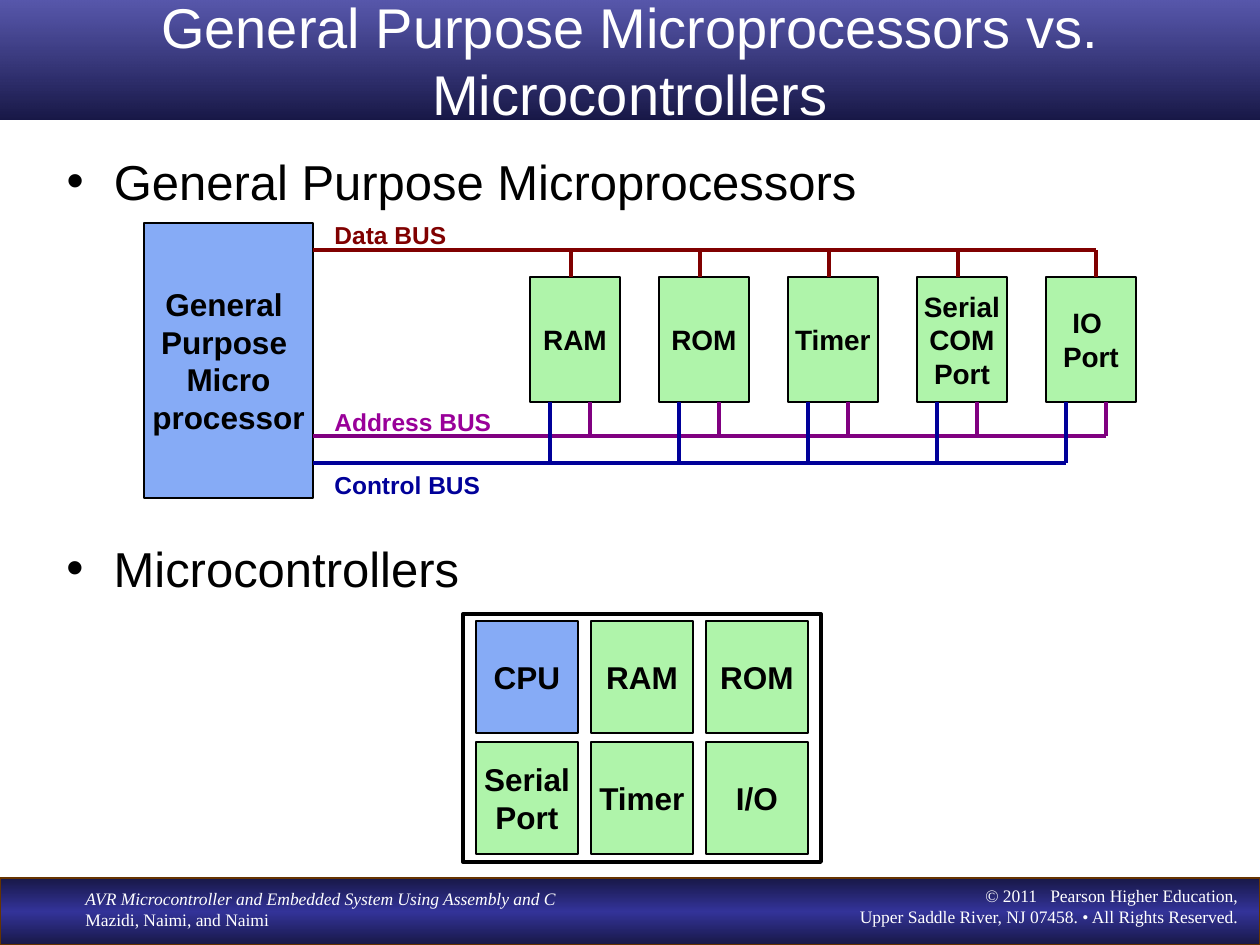
from lxml import etree
from pptx import Presentation
from pptx import util as u
from pptx.dml.color import RGBColor
from pptx.enum import shapes, text
from pptx.oxml import ns

TITLE = "General Purpose Microprocessors vs. Microcontrollers"
HEADINGS = ["General Purpose Microprocessors", "Microcontrollers"]
PROCESSOR = ["General ", "Purpose ", "Micro", "processor"]
MODULES = [["RAM"], ["ROM"], ["Timer"], ["Serial", "COM", "Port"], ["IO ", "Port"]]
CHIP_ROWS = [
    [["CPU"], ["RAM"], ["ROM"]],
    [["Serial", "Port"], ["Timer"], ["I/O"]],
]
BOOK = ["AVR Microcontroller and Embedded System Using Assembly and C",
        "Mazidi, Naimi, and Naimi"]
COPYRIGHT = ["© 2011   Pearson Higher Education,\v"
             "Upper Saddle River, NJ 07458. • All Rights Reserved."]

THEME = {
    "white": "FFFFFF", "black": "000000",
    "processor": "86ABF6", "module": "AFF4AA", "footer_line": "663300",
    "title_stops": [(0, "333399", 82), (100, "181847", 100)],
    "footer_stops": [(0, "181847", 100), (50, "333399", 100), (100, "181847", 100)],
    "title_size": 32, "heading_size": 28, "block_size": 18, "module_size": 16,
    "label_size": 14, "footer_size": 10,
    "sans": "Arial", "serif": "Times New Roman",
}

# Geometry in px, 126 to the inch
SLIDE = (1260, 945)
TITLE_BOX = (0, 0, 1260, 120)
FOOTER_BOX = (0, 878, 1260, 67)
BOOK_BOX = (73, 882, 522, 55)
COPYRIGHT_BOX = (725, 879, 525, 55)
HEADING_BOXES = [(54, 145, 1160, 79), (54, 532, 1160, 79)]
PROCESSOR_BOX = (144, 223, 169, 275)
MODULE_BOX, MODULE_STEP = (530, 277, 90, 125), 129
CHIP_BOX = (463, 614, 358, 248)
CELL_BOX, CELL_STEPS = (476, 621, 102, 112), (115, 121)

# The last data tap sits a little further right than the others.
BUSES = [
    {"label": "Address BUS", "line": "800080", "text": "990099", "y": 436,
     "tap": 60, "last_shift": 0, "side": "bottom", "label_box": (322, 401, 199, 43)},
    {"label": "Data BUS", "line": "800000", "text": "800000", "y": 250,
     "tap": 41, "last_shift": 9, "side": "top", "label_box": (322, 214, 169, 43)},
    {"label": "Control BUS", "line": "000099", "text": "000099", "y": 463,
     "tap": 20, "last_shift": 0, "side": "bottom", "label_box": (322, 464, 189, 43)},
]


def px(value):
    return u.Emu(round(value * 914400 / 126))


def box_px(box):
    return [px(value) for value in box]


def place(shape, box):
    for name, value in zip(("left", "top", "width", "height"), box_px(box)):
        setattr(shape, name, value)


def style_paragraph(paragraph, size, color, font="sans", align=text.PP_ALIGN.LEFT, bold=False):
    paragraph.alignment = align
    values = {"size": u.Pt(THEME[size]), "name": THEME[font], "bold": bold}
    for run in paragraph.runs:
        for name, value in values.items():
            setattr(run.font, name, value)
        run.font.color.rgb = RGBColor.from_string(color)


def write(shape, lines, size, color, wrap=True, anchor=text.MSO_ANCHOR.TOP, **style):
    frame = shape.text_frame
    values = {"text": "\n".join(lines), "word_wrap": wrap, "vertical_anchor": anchor,
              "auto_size": text.MSO_AUTO_SIZE.NONE}
    for name, value in values.items():
        setattr(frame, name, value)
    for paragraph in frame.paragraphs:
        style_paragraph(paragraph, size, color, **style)
    return frame


def fill_gradient(shape, stops):
    """Fill from top to bottom with (position, colour, opacity) stops in percent."""
    shape.fill.gradient()
    gradient = shape._element.spPr.find(ns.qn("a:gradFill"))
    stop_list = gradient.find(ns.qn("a:gsLst"))
    for old_stop in list(stop_list):
        stop_list.remove(old_stop)
    for position, color, opacity in stops:
        stop = etree.SubElement(stop_list, ns.qn("a:gs"), pos=str(position * 1000))
        rgb = etree.SubElement(stop, ns.qn("a:srgbClr"), val=color)
        if opacity < 100:
            etree.SubElement(rgb, ns.qn("a:alpha"), val=str(opacity * 1000))
    gradient.find(ns.qn("a:lin")).set("ang", "5400000")


def add_rectangle(parent, box, line_color, line_width, fill=None):
    shape = parent.add_shape(shapes.MSO_SHAPE.RECTANGLE, *box_px(box))
    shape.shadow.inherit = False
    if fill:
        shape.fill.solid()
        shape.fill.fore_color.rgb = RGBColor.from_string(fill)
    shape.line.color.rgb = RGBColor.from_string(line_color)
    shape.line.width = u.Pt(line_width)
    return shape


def add_block(parent, box, lines, size, fill, line_width):
    shape = add_rectangle(parent, box, THEME["black"], line_width, fill)
    write(shape, lines, size, THEME["black"], wrap=False, bold=True,
          anchor=text.MSO_ANCHOR.MIDDLE, align=text.PP_ALIGN.CENTER)


def add_line(parent, start, end, color):
    line = parent.add_connector(shapes.MSO_CONNECTOR.STRAIGHT, *box_px(start + end))
    line.line.color.rgb = RGBColor.from_string(color)
    line.line.width = u.Pt(2.25)
    etree.SubElement(line._element.spPr, ns.qn("a:effectLst"))


def add_text(parent, box, lines, size, color, **style):
    return write(parent.add_textbox(*box_px(box)), lines, size, color, **style)


def write_heading(shape, heading):
    paragraph = write(shape, [heading], "heading_size", THEME["black"]).paragraphs[0]
    paragraph.space_before = u.Pt(0)
    properties = paragraph._element.get_or_add_pPr()
    properties.set("marL", "342900")
    properties.set("indent", "-342900")
    color = etree.SubElement(properties, ns.qn("a:buClr"))
    etree.SubElement(color, ns.qn("a:srgbClr"), val=THEME["black"])
    etree.SubElement(properties, ns.qn("a:buFont"), typeface=THEME["sans"])
    etree.SubElement(properties, ns.qn("a:buChar"), char="•")


def add_footer(parent):
    bar = add_rectangle(parent, FOOTER_BOX, THEME["footer_line"], 0.75)
    fill_gradient(bar, THEME["footer_stops"])
    book = add_text(parent, BOOK_BOX, BOOK, "footer_size", THEME["white"], font="serif")
    book.paragraphs[0].runs[0].font.italic = True
    add_text(parent, COPYRIGHT_BOX, COPYRIGHT, "footer_size", THEME["white"],
             font="serif", align=text.PP_ALIGN.RIGHT)


def add_processor_system(parent):
    add_block(parent, PROCESSOR_BOX, PROCESSOR, "block_size", THEME["processor"], 1)
    left, top, width, height = MODULE_BOX
    lefts = [left + index * MODULE_STEP for index in range(len(MODULES))]
    for x, lines in zip(lefts, MODULES):
        add_block(parent, (x, top, width, height), lines, "module_size", THEME["module"], 0.75)
    bus_start = PROCESSOR_BOX[0] + PROCESSOR_BOX[2]
    edges = {"top": top, "bottom": top + height}
    for bus in BUSES:
        taps = [x + bus["tap"] for x in lefts]
        taps[-1] += bus["last_shift"]
        add_line(parent, (bus_start, bus["y"]), (taps[-1], bus["y"]), bus["line"])
        for x in taps:
            add_line(parent, (x, bus["y"]), (x, edges[bus["side"]]), bus["line"])
        add_text(parent, bus["label_box"], [bus["label"]], "label_size", bus["text"], bold=True)


def add_chip(parent):
    add_rectangle(parent, CHIP_BOX, THEME["black"], 2.25, THEME["white"])
    left, top, width, height = CELL_BOX
    for row, cells in enumerate(CHIP_ROWS):
        for column, lines in enumerate(cells):
            box = (left + column * CELL_STEPS[0], top + row * CELL_STEPS[1], width, height)
            fill = THEME["processor" if lines == ["CPU"] else "module"]
            add_block(parent, box, lines, "block_size", fill, 1.5)


def main():
    presentation = Presentation()
    presentation.slide_width, presentation.slide_height = box_px(SLIDE)
    slide = presentation.slides.add_slide(presentation.slide_layouts[1])
    title, body = slide.placeholders
    add_footer(slide.shapes)
    place(title, TITLE_BOX)
    fill_gradient(title, THEME["title_stops"])
    write(title, [TITLE], "title_size", THEME["white"],
          anchor=text.MSO_ANCHOR.MIDDLE, align=text.PP_ALIGN.CENTER)
    place(body, HEADING_BOXES[0])
    second_heading = slide.shapes.add_textbox(*box_px(HEADING_BOXES[1]))
    for shape, heading in zip((body, second_heading), HEADINGS):
        write_heading(shape, heading)
    add_processor_system(slide.shapes.add_group_shape().shapes)
    add_chip(slide.shapes.add_group_shape().shapes)
    presentation.save("out.pptx")


if __name__ == "__main__":
    main()
